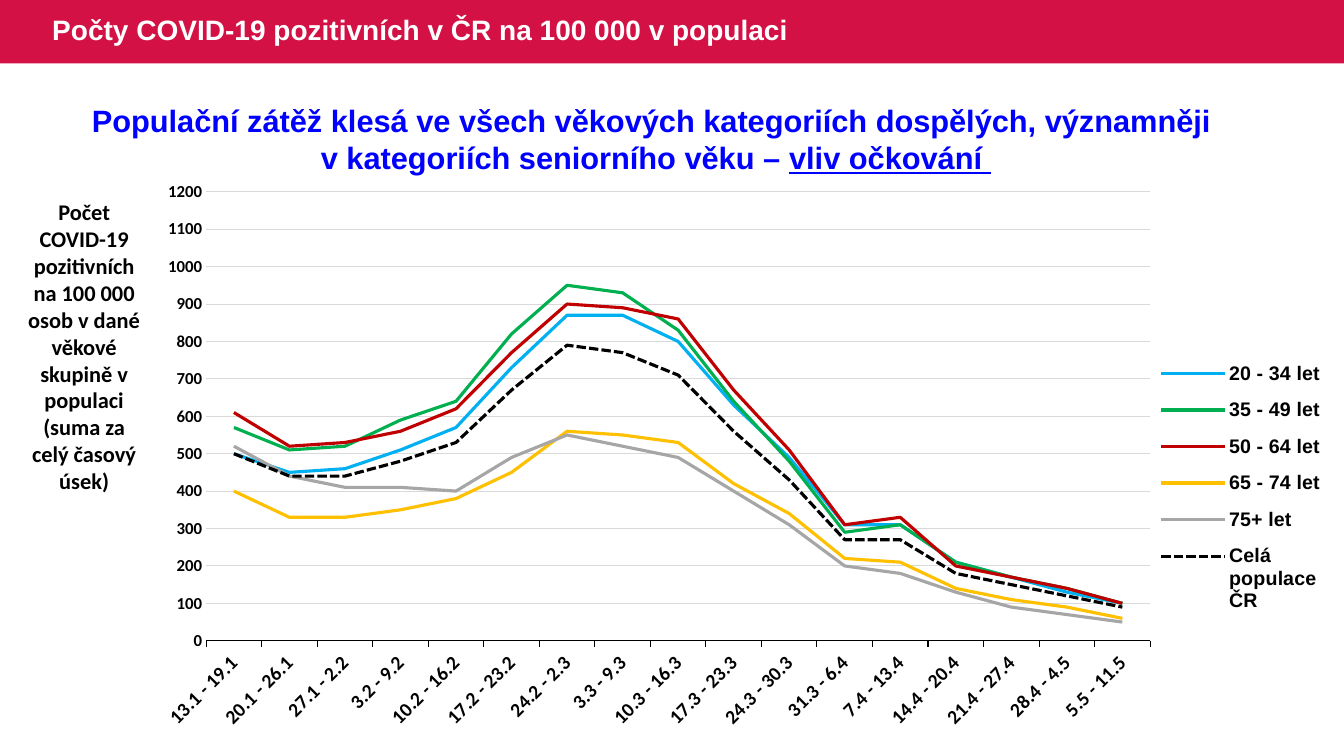
from lxml.etree import SubElement
from pptx import Presentation
from pptx.chart.data import CategoryChartData
from pptx.dml.color import RGBColor
from pptx.enum.chart import XL_CHART_TYPE, XL_LEGEND_POSITION, XL_TICK_MARK
from pptx.enum.dml import MSO_LINE
from pptx.enum.shapes import MSO_SHAPE
from pptx.enum.text import MSO_ANCHOR, PP_ALIGN
from pptx.oxml.ns import qn
from pptx.util import Inches, Pt

COLOURS = {
    "banner": "D31145", "white": "FFFFFF", "black": "000000", "headline": "0000FF",
    "grid": "D9D9D9", "blue": "00B0F0", "green": "00B050", "red": "C00000",
    "yellow": "FFC000", "grey": "A6A6A6",
}

WEEKS = [
    "13.1 - 19.1", "20.1 - 26.1", "27.1 - 2.2", "3.2 - 9.2", "10.2 - 16.2", "17.2 - 23.2",
    "24.2 - 2.3", "3.3 - 9.3", "10.3 - 16.3", "17.3 - 23.3", "24.3 - 30.3", "31.3 - 6.4",
    "7.4 - 13.4", "14.4 - 20.4", "21.4 - 27.4", "28.4 - 4.5", "5.5 - 11.5",
]

# Name, colour, weekly cases per 100 000
AGE_GROUPS = [
    ("20 - 34 let", "blue",
     [500, 450, 460, 510, 570, 730, 870, 870, 800, 630, 490, 310, 310, 210, 170, 130, 100]),
    ("35 - 49 let", "green",
     [570, 510, 520, 590, 640, 820, 950, 930, 830, 640, 480, 290, 310, 210, 170, 140, 100]),
    ("50 - 64 let", "red",
     [610, 520, 530, 560, 620, 770, 900, 890, 860, 670, 510, 310, 330, 200, 170, 140, 100]),
    ("65 - 74 let", "yellow",
     [400, 330, 330, 350, 380, 450, 560, 550, 530, 420, 340, 220, 210, 140, 110, 90, 60]),
    ("75+ let", "grey",
     [520, 440, 410, 410, 400, 490, 550, 520, 490, 400, 310, 200, 180, 130, 90, 70, 50]),
    ("Celá populace ČR", "black",
     [500, 440, 440, 480, 530, 670, 790, 770, 710, 560, 430, 270, 270, 180, 150, 120, 90]),
]


def colour(name):
    return RGBColor.from_string(COLOURS[name])


def style_font(font, size, name, colour_name):
    font.size = Pt(size)
    font.name = name
    font.bold = True
    font.color.rgb = colour(colour_name)


def style_line(line, colour_name, width):
    line.color.rgb = colour(colour_name)
    line.width = Pt(width)


def add_banner(page, width):
    banner = page.shapes.add_shape(MSO_SHAPE.RECTANGLE, 0, 0, width, Inches(0.63))
    banner.shadow.inherit = False
    banner.fill.solid()
    banner.fill.fore_color.rgb = colour("banner")
    banner.line.fill.background()


def add_text(page, place, text, size, font_name, colour_name, align=PP_ALIGN.CENTER):
    box = page.shapes.add_textbox(*map(Inches, place))
    frame = box.text_frame
    frame.word_wrap = True
    frame.text = text
    for para in frame.paragraphs:
        para.alignment = align
        for span in para.runs:
            style_font(span.font, size, font_name, colour_name)
    return frame


def set_layout(parent, index, x, y, w, h, inner=False):
    """Fix the place of a chart part, in fractions of the chart."""
    for old in parent.findall(qn("c:layout")):
        parent.remove(old)
    layout = parent.makeelement(qn("c:layout"))
    parent.insert(index, layout)
    manual = SubElement(layout, qn("c:manualLayout"))
    settings = [("xMode", "edge"), ("yMode", "edge"), ("x", x), ("y", y), ("w", w), ("h", h)]
    if inner:
        settings.insert(0, ("layoutTarget", "inner"))
    for tag, value in settings:
        SubElement(manual, qn(f"c:{tag}")).set("val", str(value))


def style_axes(chart):
    weeks = chart.category_axis
    weeks.major_tick_mark = XL_TICK_MARK.OUTSIDE
    style_font(weeks.tick_labels.font, 14, "Calibri", "black")
    style_line(weeks.format.line, "black", 0.75)
    body = weeks._element.find(qn("c:txPr")).find(qn("a:bodyPr"))
    body.set("rot", "-2700000")
    body.set("vert", "horz")

    cases = chart.value_axis
    cases.minimum_scale, cases.maximum_scale, cases.major_unit = 0, 1200, 100
    cases.major_tick_mark = XL_TICK_MARK.NONE
    cases.tick_labels.number_format = "###0"
    cases.tick_labels.number_format_is_linked = False
    style_font(cases.tick_labels.font, 12, "Calibri", "black")
    cases.format.line.fill.background()
    style_line(cases.major_gridlines.format.line, "grid", 0.75)


def add_cases_chart(page):
    data = CategoryChartData()
    data.categories = WEEKS
    for name, _, values in AGE_GROUPS:
        data.add_series(name, values)
    place = map(Inches, (1.52, 1.75, 11.66, 5.87))
    chart = page.shapes.add_chart(XL_CHART_TYPE.LINE, *place, data).chart
    chart.has_title = False
    style_font(chart.font, 14, "Arial", "black")
    chart.plots[0].vary_by_categories = False
    for series, (_, colour_name, _) in zip(chart.plots[0].series, AGE_GROUPS):
        series.smooth = False
        style_line(series.format.line, colour_name, 2.25)
    series.format.line.dash_style = MSO_LINE.SQUARE_DOT  # whole population comes last

    style_axes(chart)
    chart.has_legend = True
    chart.legend.position = XL_LEGEND_POSITION.RIGHT
    chart.legend.include_in_layout = False
    style_font(chart.legend.font, 14, "Arial", "black")

    plot_area = chart.element.find(".//" + qn("c:plotArea"))
    set_layout(plot_area, 0, 0.045, 0.026, 0.803, 0.759, inner=True)
    set_layout(chart.legend._element, 1, 0.85, 0.29, 0.15, 0.47)


def main():
    deck = Presentation()
    deck.slide_width, deck.slide_height = Inches(13.33), Inches(7.5)
    page = deck.slides.add_slide(deck.slide_layouts[6])

    # Title banner
    add_banner(page, deck.slide_width)
    title = add_text(page, (0.42, 0, 8.37, 0.63),
                     "Počty COVID-19 pozitivních v ČR na 100 000 v populaci",
                     20, "Arial", "white", PP_ALIGN.LEFT)
    title.vertical_anchor = MSO_ANCHOR.MIDDLE
    title.paragraphs[0].line_spacing = 0.9

    # Chart and its side label
    add_cases_chart(page)
    add_text(page, (0.15, 1.92, 1.37, 3.06),
             "Počet COVID-19 pozitivních na 100 000 osob v dané věkové skupině "
             "v populaci (suma za celý časový úsek)", 16, "Calibri", "black")

    # Headline with the underlined cause
    headline = add_text(page, (0.3, 0.96, 12.41, 0.84),
                        "Populační zátěž klesá ve všech věkových kategoriích dospělých, "
                        "významněji \nv kategoriích seniorního věku – ",
                        22, "Arial", "headline")
    cause = headline.paragraphs[1].add_run()
    cause.text = "vliv očkování "
    style_font(cause.font, 22, "Arial", "headline")
    cause.font.underline = True

    deck.save("out.pptx")


if __name__ == "__main__":
    main()
